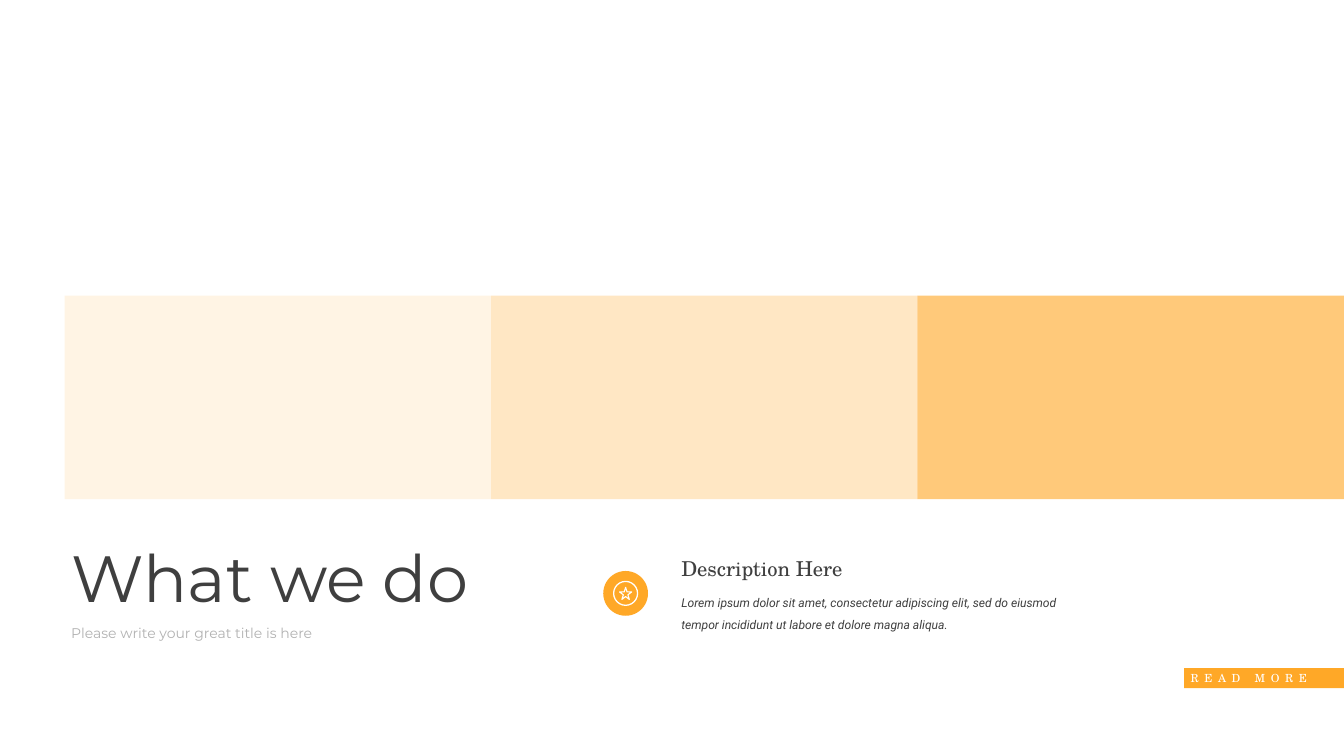
from dataclasses import dataclass
from typing import Optional

from lxml import etree
from pptx import Presentation
from pptx import util as u
from pptx.dml.color import RGBColor
from pptx.enum import shapes, text
from pptx.oxml import ns

WIDTH, HEIGHT = u.Inches(20), u.Inches(11.25)
ORANGE, DARK, GREY, WHITE = "FFA827", "3F3F3F", "B2B2B2", "FFFFFF"
SANS, BODY, SERIF = "Montserrat", "Roboto", "TeX Gyre Schola"
MARGIN = 4.8


@dataclass(frozen=True)
class Area:
    """Position and size in percent of the slide's width and height."""
    left: float
    top: float
    width: float
    height: float

    def lengths(self) -> tuple[int, int, int, int]:
        return (int(WIDTH * self.left / 100), int(HEIGHT * self.top / 100),
                int(WIDTH * self.width / 100), int(HEIGHT * self.height / 100))


@dataclass(frozen=True)
class Label:
    words: str
    font: str
    size: float
    color: str
    italic: bool = False
    line_spacing: Optional[float] = None
    tracking: float = 0


@dataclass(frozen=True)
class IconPart:
    kind: shapes.MSO_SHAPE
    diameter: float
    fill: Optional[str] = None
    outline: float = 0


TEXTS = [
    (Area(MARGIN, 70.67, 36.75, 11.38), Label("What we do", SANS, 70, DARK)),
    (Area(MARGIN, 82.13, 23.1, 3.11),
     Label("Please write your great title is here", SANS, 15, GREY)),
    (Area(50.2, 77.33, 29.05, 6.4),
     Label("Lorem ipsum dolor sit amet, consectetur adipiscing elit, sed do eiusmod "
           "tempor incididunt ut labore et dolore magna aliqua.",
           BODY, 13, DARK, italic=True, line_spacing=1.5)),
    (Area(50.2, 73.16, 15.2, 4.18), Label("Description Here", SERIF, 22, DARK)),
]
ICON_CENTER = (46.55, 78.49)
ICON = [
    IconPart(shapes.MSO_SHAPE.OVAL, 3.33, fill=ORANGE),
    IconPart(shapes.MSO_SHAPE.OVAL, 1.78, outline=1.35),
    IconPart(shapes.MSO_SHAPE.STAR_5_POINT, 0.9, outline=1.2),
]
BUTTON = Area(88.1, 88.36, 11.9, 2.67)
BAND_TOP, BAND_HEIGHT = 39.11, 26.93
BAND_OPACITIES = [12, 27, 61]


def rgb(color: str) -> RGBColor:
    return RGBColor.from_string(color)


def write(shape, label: Label) -> None:
    frame = shape.text_frame
    frame.word_wrap = True
    frame.auto_size = text.MSO_AUTO_SIZE.SHAPE_TO_FIT_TEXT
    para = frame.paragraphs[0]
    para.alignment = text.PP_ALIGN.LEFT
    if label.line_spacing:
        para.line_spacing = label.line_spacing
    span = para.add_run()
    span.text = label.words
    span.font.name = label.font
    span.font.size = u.Pt(label.size)
    span.font.italic = label.italic
    span.font.color.rgb = rgb(label.color)
    if label.tracking:
        span._r.get_or_add_rPr().set("spc", str(int(label.tracking * 100)))


def add_shape(page, kind: shapes.MSO_SHAPE, area: Area, fill: Optional[str] = None,
              opacity: int = 100, outline: float = 0):
    """Draw a preset shape; an outline, in points, is white."""
    shape = page.shapes.add_shape(kind, *area.lengths())
    shape.shadow.inherit = False
    if fill:
        shape.fill.solid()
        shape.fill.fore_color.rgb = rgb(fill)
    else:
        shape.fill.background()
    if opacity < 100:
        color = shape._element.spPr.find(".//" + ns.qn("a:srgbClr"))
        etree.SubElement(color, ns.qn("a:alpha"), val=str(opacity * 1000))
    if outline:
        shape.line.color.rgb = rgb(WHITE)
        shape.line.width = u.Pt(outline)
    else:
        shape.line.fill.background()
    return shape


def add_icon(page) -> None:
    center_x, center_y = ICON_CENTER
    for part in ICON:
        height = part.diameter * WIDTH / HEIGHT
        area = Area(center_x - part.diameter / 2, center_y - height / 2,
                    part.diameter, height)
        add_shape(page, part.kind, area, part.fill, outline=part.outline)


def add_bands(page) -> None:
    """Fill the width right of the margin with equal, ever stronger columns."""
    column = (100 - MARGIN) / len(BAND_OPACITIES)
    for index, opacity in enumerate(BAND_OPACITIES):
        area = Area(MARGIN + index * column, BAND_TOP, column, BAND_HEIGHT)
        add_shape(page, shapes.MSO_SHAPE.RECTANGLE, area, ORANGE, opacity)


def main() -> None:
    deck = Presentation()
    deck.slide_width, deck.slide_height = WIDTH, HEIGHT
    page = deck.slides.add_slide(deck.slide_layouts[6])
    page.background.fill.solid()
    page.background.fill.fore_color.rgb = rgb(WHITE)
    for area, label in TEXTS:
        write(page.shapes.add_textbox(*area.lengths()), label)
    add_icon(page)
    button = add_shape(page, shapes.MSO_SHAPE.RECTANGLE, BUTTON, ORANGE)
    write(button, Label("READ MORE", SERIF, 12, WHITE, tracking=6))
    add_bands(page)
    deck.save("out.pptx")


if __name__ == "__main__":
    main()
